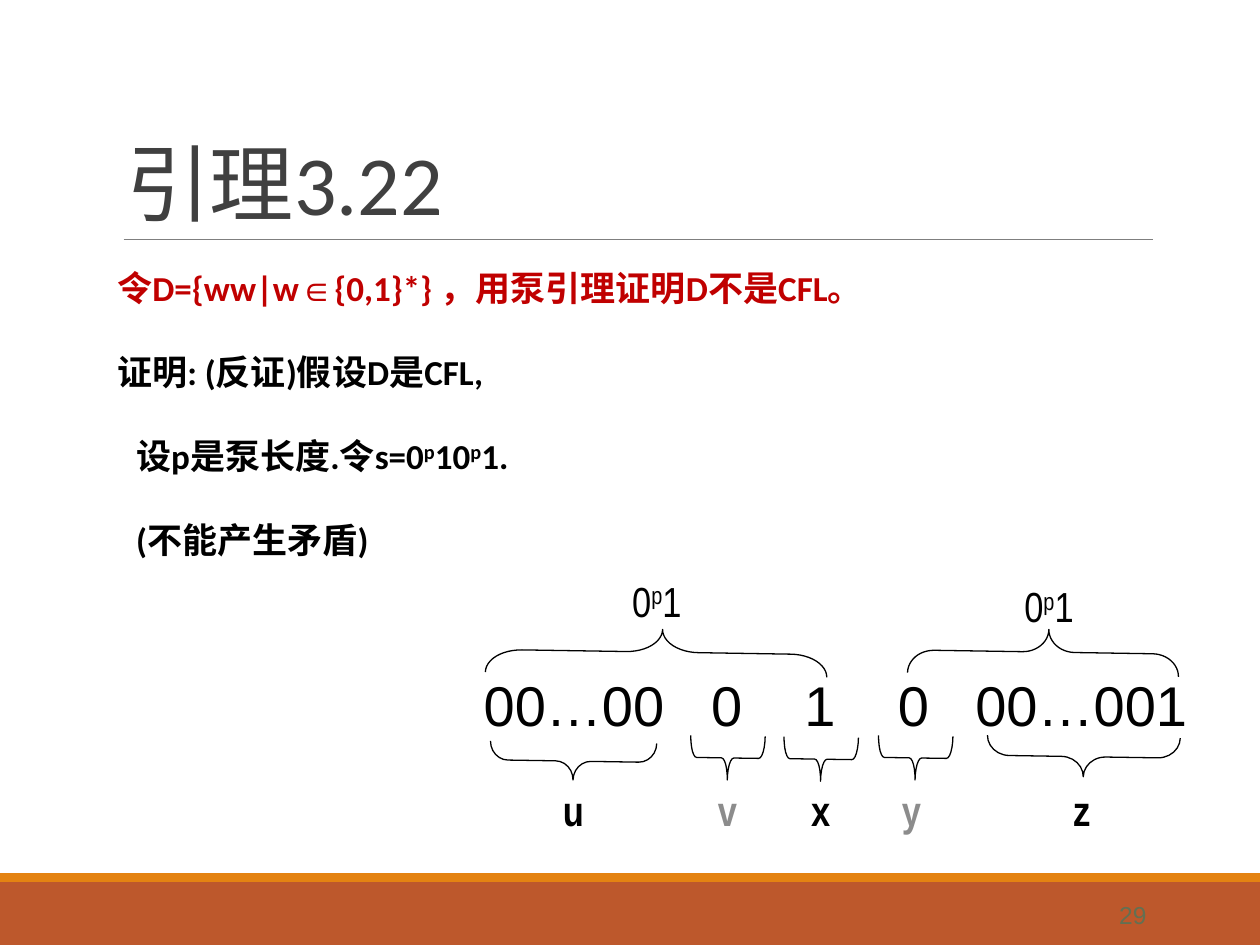
from lxml import etree
from pptx import Presentation
from pptx.dml import color
from pptx.enum import shapes, text
from pptx.oxml import ns
from pptx.util import Pt

# Content: a run is (text, style)
TITLE = "引理3.22"
PROOF = [  # runs, colour, left indent, line spacing
    ([("令D={ww|w", ""), ("∈", "symbol"), ("{0,1}*} ，用泵引理证明D不是CFL。", "")],
     "C00000", 7.2, 0.9),
    ([("证明: (反证)假设D是CFL,", "")], "000000", 7.2, 1.5),
    ([("设p是泵长度.令s=0", ""), ("p", "super"), ("10", ""), ("p", "super"), ("1.", "")],
     "000000", 18, 1.5),
    ([("(不能产生矛盾)", "")], "000000", 18, 1.5),
]
STRING_PARTS = ["00…00", "0", "1", "0", "00…001"]
STRING_TABS = [130, 183.3, 236.7, 281]
HALF = [("0", ""), ("p", "super"), ("1", "")]
HALF_LABELS = [(354.2, 325.4), (578.2, 328.3)]
PART_LABELS = [  # name, left, colour
    ("u", 314.6, "000000"), ("v", 403.2, "8C8C8C"), ("x", 456.5, "000000"),
    ("y", 508.3, "8C8C8C"), ("z", 606.2, "000000"),
]
UP, DOWN = 90.9, 270.9
BRACES = [  # centre x, centre y, depth, length, curve, tip, rotation
    (375.1, 372.6, 25.9, 195.1, 0.8, 0.483, UP),
    (596.2, 372.6, 25.9, 154.8, 0.58, 0.481, UP),
    (327.6, 434.9, 21.6, 95, 0.47, 0.5, DOWN),
    (415.8, 433.1, 25.2, 42.5, 0.14, 0.5, DOWN),
    (469.1, 433.8, 25.2, 42.5, 0.14, 0.5, DOWN),
    (523.1, 433.1, 25.2, 42.5, 0.14, 0.5, DOWN),
    (619.2, 432.4, 23, 110.2, 0.55, 0.5, DOWN),
]
PAGE = "29"


def paint(target, hex_color):
    if hasattr(target, "solid"):
        target.solid()
        target = target.fore_color
    target.rgb = color.RGBColor.from_string(hex_color)


def style(paragraph, size, name, hex_color, bold=False):
    font = paragraph.font
    font.size, font.name, font.bold = Pt(size), name, bold
    paint(font.color, hex_color)


def add_runs(paragraph, runs):
    for words, kind in runs:
        run = paragraph.add_run()
        run.text = words
        if kind == "super":
            run.font._element.set("baseline", "30000")
        elif kind == "symbol":
            run.font.name = "Arial"


def place(shape, left, top, width, height):
    shape.left, shape.top = Pt(left), Pt(top)
    shape.width, shape.height = Pt(width), Pt(height)


def add_label(left, top, width, height, runs):
    box = slide.shapes.add_textbox(Pt(left), Pt(top), Pt(width), Pt(height))
    box.text_frame.word_wrap = True
    paragraph = box.text_frame.paragraphs[0]
    add_runs(paragraph, runs)
    return paragraph


prs = Presentation()
prs.slide_width, prs.slide_height = Pt(720), Pt(540)
slide = prs.slides.add_slide(prs.slide_layouts[1])

# Footer bands and title rule
for top, height, fill in [(504, 36, "BD582C"), (499, 5, "E48312")]:
    band = slide.shapes.add_shape(
        shapes.MSO_SHAPE.RECTANGLE, 0, Pt(top), Pt(720), Pt(height))
    band.shadow.inherit = False
    paint(band.fill, fill)
    band.line.fill.background()
rule = slide.shapes.add_connector(
    shapes.MSO_CONNECTOR.STRAIGHT, Pt(70.6), Pt(136.8), Pt(658.8), Pt(136.8))
etree.SubElement(rule._element.spPr, ns.qn("a:effectLst"))
paint(rule.line.fill, "7F7F7F")
rule.line.width = Pt(0.5)

# Title
title = slide.shapes.title
place(title, 64.8, 22.3, 594, 114.5)
title.text_frame.text = TITLE
title.text_frame.auto_size = text.MSO_AUTO_SIZE.NONE
title.text_frame.vertical_anchor = text.MSO_ANCHOR.BOTTOM
heading = title.text_frame.paragraphs[0]
heading.alignment = text.PP_ALIGN.LEFT
heading.line_spacing = 0.85
style(heading, 48, "Calibri", "404040")

# Proof
body = slide.placeholders[1]
place(body, 59.8, 151.2, 584, 334.8)
frame = body.text_frame
frame.auto_size = text.MSO_AUTO_SIZE.NONE
frame.margin_left = frame.margin_right = 0
for i, (runs, hex_color, indent, spacing) in enumerate(PROOF):
    step = frame.add_paragraph() if i else frame.paragraphs[0]
    add_runs(step, runs)
    props = step._p.get_or_add_pPr()
    props.set("marL", str(Pt(indent)))
    props.set("indent", "0")
    etree.SubElement(props, ns.qn("a:buNone"))
    step.line_spacing = spacing
    step.space_before = Pt(12 if i else 0)
    style(step, 20, "Calibri", hex_color, True)

# String split into its five parts
string = add_label(269.3, 379.4, 419.8, 46, [("\t".join(STRING_PARTS), "")])
tabs = etree.SubElement(string._p.get_or_add_pPr(), ns.qn("a:tabLst"))
for stop in STRING_TABS:
    etree.SubElement(tabs, ns.qn("a:tab"), pos=str(Pt(stop)), algn="l")
style(string, 32, "Arial", "000000")

# Braces, turned about their centres
for x, y, depth, length, curve, tip, rotation in BRACES:
    brace = slide.shapes.add_shape(
        shapes.MSO_SHAPE.LEFT_BRACE, Pt(x - depth / 2), Pt(y - length / 2),
        Pt(depth), Pt(length))
    brace.adjustments[0], brace.adjustments[1] = curve, tip
    brace.rotation = rotation
    brace.shadow.inherit = False
    brace.fill.background()
    paint(brace.line.fill, "000000")
    brace.line.width = Pt(0.75)

# Labels over and under the braces
for left, top in HALF_LABELS:
    style(add_label(left, top, 54, 36, HALF), 24, "Arial Narrow", "000000")
for name, left, hex_color in PART_LABELS:
    label = add_label(left, 445, 36, 36, [(name, "")])
    style(label, 24, "Arial Narrow", hex_color, True)

# Page number
page = add_label(590, 511, 72.2, 26, [(PAGE, "")])
page.alignment = text.PP_ALIGN.RIGHT
style(page, 14, "Arial", "637052")

prs.save("out.pptx")
